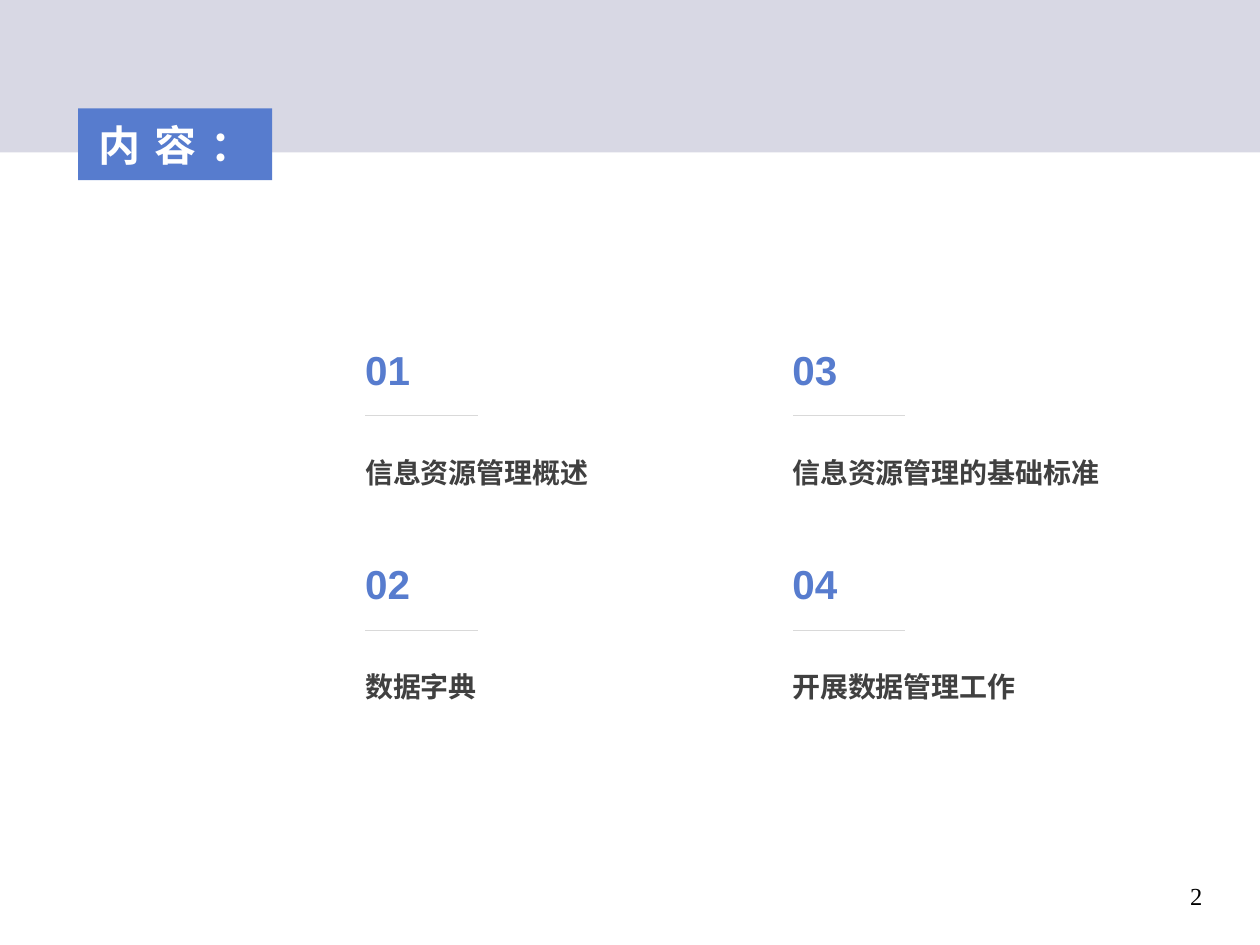
from lxml import etree
from pptx import Presentation
from pptx import util as u
from pptx.dml.color import RGBColor
from pptx.enum import shapes, text
from pptx.oxml.ns import qn

COLORS = {
    "band": "D8D8E4",
    "accent": "577CCE",
    "label": "404040",
    "rule": "D9D9D9",
    "white": "FFFFFF",
    "black": "000000",
}
TOPICS = ["信息资源管理概述", "数据字典", "信息资源管理的基础标准", "开展数据管理工作"]
ROWS = 2
LEFT, TOP = 2.8, 2.69
COLUMN_STEP, ROW_STEP = 3.39, 1.7


def color(name):
    return RGBColor.from_string(COLORS[name])


def style_paragraph(paragraph, words, size, color_name, font_name="Arial", bold=True):
    paragraph.text = words
    font = paragraph.font
    font.name, font.size, font.bold = font_name, u.Pt(size), bold
    font.color.rgb = color(color_name)


def add_text(slide, box, words, size, color_name, **style):
    shape = slide.shapes.add_textbox(*map(u.Inches, box))
    shape.text_frame.word_wrap = True
    paragraph = shape.text_frame.paragraphs[0]
    style_paragraph(paragraph, words, size, color_name, **style)
    return paragraph


def add_rectangle(slide, box, color_name):
    shape = slide.shapes.add_shape(shapes.MSO_SHAPE.RECTANGLE, *map(u.Inches, box))
    shape.shadow.inherit = False
    shape.fill.solid()
    shape.fill.fore_color.rgb = color(color_name)
    shape.line.fill.background()
    return shape


def add_rule(slide, left, top, width):
    rule = slide.shapes.add_connector(
        shapes.MSO_CONNECTOR.STRAIGHT,
        u.Inches(left + width), u.Inches(top), u.Inches(left), u.Inches(top))
    rule.line.color.rgb = color("rule")
    rule.line.width = u.Pt(0.5)
    etree.SubElement(rule._element.spPr, qn("a:effectLst"))


def add_title(slide, words):
    shape = add_rectangle(slide, (0.62, 0.86, 1.54, 0.57), "accent")
    frame = shape.text_frame
    frame.vertical_anchor = text.MSO_ANCHOR.MIDDLE
    frame.margin_left = frame.margin_right = u.Inches(0.07)
    frame.margin_top = frame.margin_bottom = u.Inches(0.04)
    paragraph = frame.paragraphs[0]
    style_paragraph(paragraph, words, 24, "white")
    paragraph.alignment = text.PP_ALIGN.CENTER
    paragraph.runs[0]._r.get_or_add_rPr().set("spc", "800")


def add_topic(slide, index, words):
    column, row = divmod(index, ROWS)
    left = LEFT + column * COLUMN_STEP
    top = TOP + row * ROW_STEP
    label = add_text(slide, (left, top + 0.74, 2.66, 0.8), words, 16, "label")
    label.alignment = text.PP_ALIGN.JUSTIFY
    label.line_spacing = 1.5
    label.space_after = u.Pt(20)
    add_text(slide, (left, top, 0.67, 0.63), f"{index + 1:02}", 23.1, "accent")
    add_rule(slide, left + 0.1, top + 0.61, 0.89)


def main():
    presentation = Presentation()
    presentation.slide_width = u.Inches(10)
    presentation.slide_height = u.Inches(7.5)
    slide = presentation.slides.add_slide(presentation.slide_layouts[6])
    number = add_text(slide, (6.69, 6.94, 2.95, 0.35), "2", 14, "black",
                      font_name="Times New Roman", bold=False)
    number.alignment = text.PP_ALIGN.RIGHT
    add_rectangle(slide, (0, 0, 10, 1.21), "band")
    for index, words in enumerate(TOPICS):
        add_topic(slide, index, words)
    add_title(slide, "内容：")
    presentation.save("out.pptx")


if __name__ == "__main__":
    main()
